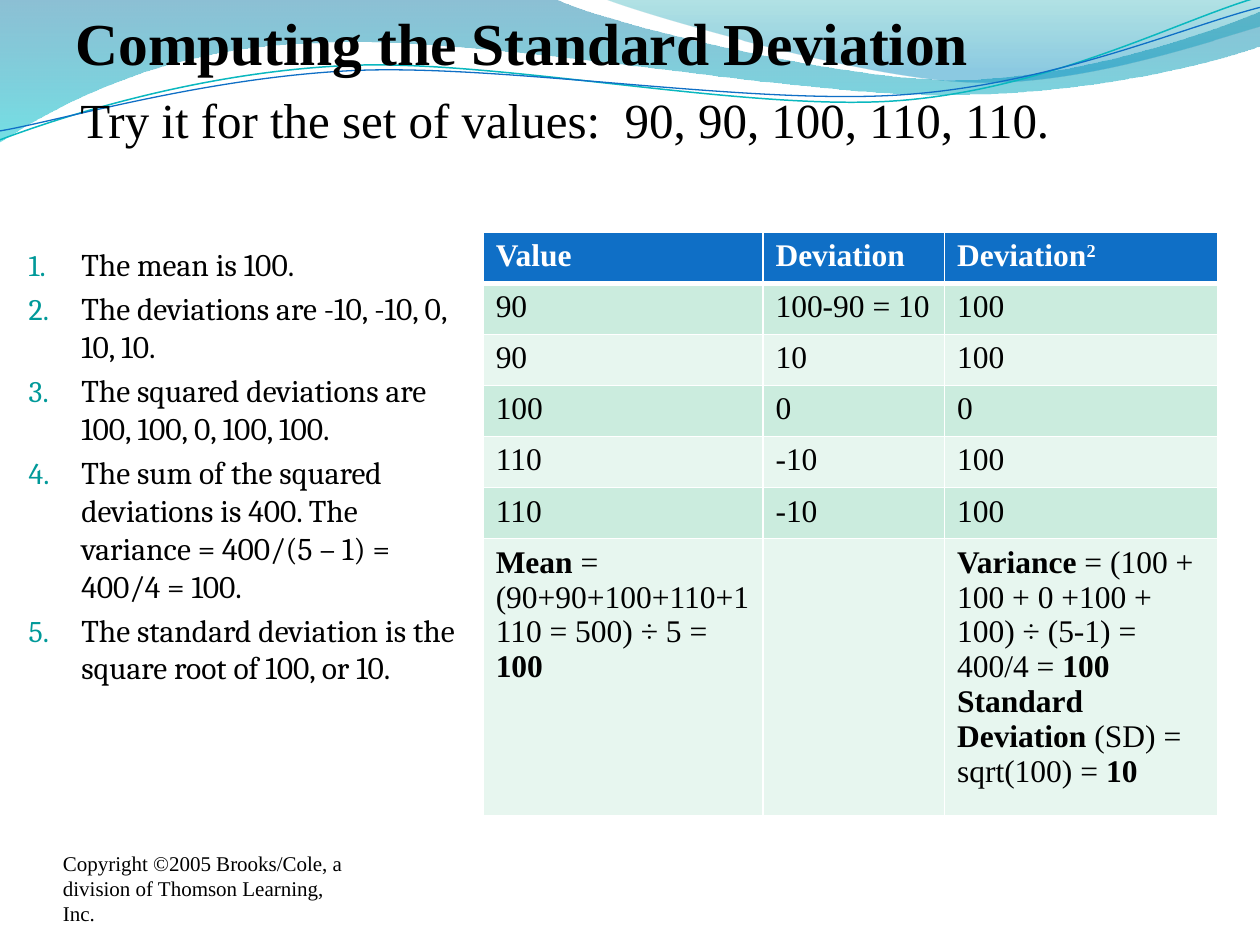
from itertools import product

from lxml.etree import SubElement
from pptx import Presentation
from pptx.dml.color import RGBColor
from pptx.enum.text import MSO_ANCHOR, MSO_AUTO_SIZE, PP_ALIGN
from pptx.oxml.ns import qn
from pptx.util import Cm, Pt

SERIF = "Times New Roman"
UNITS_PER_CM = 100

STEPS = [
    "The mean is 100.",
    "The deviations are -10, -10, 0, 10, 10.",
    "The squared deviations are 100, 100, 0, 100, 100.",
    "The sum of the squared deviations is 400. The variance = 400/(5 – 1) = 400/4 = 100.",
    "The standard deviation is the square root of 100, or 10.",
]
ROWS = [
    ["Value", "Deviation", "Deviation^2"],
    ["90", "100-90 = 10", "100"],
    ["90", "10", "100"],
    ["100", "0", "0"],
    ["110", "-10", "100"],
    ["110", "-10", "100"],
    [
        "**Mean** = (90+90+100+110+1110 = 500) ÷ 5 = **100**",
        "",
        "**Variance** = (100 + 100 + 0 +100 + 100) ÷ (5-1) = 400/4 =** 100**\n"
        "**Standard Deviation **(SD) = sqrt(100) = **10**",
    ],
]

WIDE_WAVE = [
    [(0, 0)],
    [(11.18, -0.03)],
    [(12.09, 0.43), (16.87, 1.6), (19.25, 1.6)],
    [(21.67, 1.6), (24.33, 0.66), (25.4, 0.23)],
    [(25.43, 0.91)],
    [(24.97, 1.12), (22.1, 1.93), (18.95, 1.91)],
    [(15.8, 1.91), (9.7, 0.71), (6.53, 0.86)],
    [(3.28, 0.91), (1.17, 2.11), (-0.03, 2.87)],
]
RIGHT_WAVE = [
    [(12.17, -0.03)],
    [(12.93, 0.28), (17.32, 1.57), (19.53, 1.65)],
    [(21.74, 1.75), (24.41, 0.81), (25.4, 0.53)],
    [(25.4, 0)],
]
TEAL_LINE = [
    [(0, 2.82)],
    [(1.22, 2.36), (4.01, 1.45), (7.04, 1.32)],
    [(10.03, 1.19), (15.06, 2.26), (18.11, 2.03)],
    [(21.16, 1.8), (23.83, 0.38), (25.35, -0.05)],
]
BLUE_LINE = [
    [(0, 2.64)],
    [(1.19, 2.44), (4.17, 1.55), (7.19, 1.42)],
    [(10.24, 1.3), (15.16, 2.13), (18.21, 1.91)],
    [(21.23, 1.7), (23.9, 0.53), (25.4, 0.15)],
]


def color(value):
    return RGBColor.from_string(value)


class SlideBuilder:
    ink = "000000"
    white = "FFFFFF"
    header = "0F6FC6"
    bands = ("E7F6EF", "CBECDE")

    def __init__(self, slide):
        self.slide = slide

    def outline(self, segments, closed):
        points = [(round(x * UNITS_PER_CM), round(y * UNITS_PER_CM)) for segment in segments for x, y in segment]
        builder = self.slide.shapes.build_freeform(*points[0], scale=Cm(1) / UNITS_PER_CM)
        builder.add_line_segments(points[1:], close=closed)
        shape = builder.convert_to_shape()
        shape.shadow.inherit = False
        nodes = iter(list(shape._element.spPr.iter(qn("a:lnTo"))))
        for segment in segments[1:]:
            first, *others = [next(nodes) for _ in segment]
            if others:
                first.tag = qn("a:cubicBezTo")
            for node in others:
                first.append(node[0])
                node.getparent().remove(node)
        return shape

    def wave(self, segments, stops):
        shape = self.outline(segments, True)
        shape.line.fill.background()
        shape.fill.gradient()
        shape.fill.gradient_angle = 270
        for stop, (position, tint, _) in zip(shape.fill.gradient_stops, stops):
            stop.position = position
            stop.color.rgb = color(tint)
        for node, (_, _, opacity) in zip(shape._element.spPr.iter(qn("a:srgbClr")), stops):
            SubElement(node, qn("a:alpha"), val=str(opacity * 1000))

    def strand(self, segments, tint, width):
        shape = self.outline(segments, False)
        shape.fill.background()
        shape.line.color.rgb = color(tint)
        shape.line.width = Pt(width)

    def style(self, para, size, face=SERIF, tint=ink, bold=False):
        para.alignment = PP_ALIGN.LEFT
        para.font.name = face
        para.font.size = Pt(size)
        para.font.bold = bold
        para.font.color.rgb = color(tint)

    def title(self, text, left, top, width, height):
        box = self.slide.shapes.title
        self.slide.shapes._spTree.append(box._element)
        box.left, box.top, box.width, box.height = Cm(left), Cm(top), Cm(width), Cm(height)
        frame = box.text_frame
        frame.text = text
        frame.vertical_anchor = MSO_ANCHOR.TOP
        frame.auto_size = MSO_AUTO_SIZE.SHAPE_TO_FIT_TEXT
        self.style(frame.paragraphs[0], 34, bold=True)

    def frame(self, left, top, width, height):
        box = self.slide.shapes.add_textbox(Cm(left), Cm(top), Cm(width), Cm(height))
        box.text_frame.word_wrap = True
        return box.text_frame

    def text(self, text, left, top, width, height, size):
        frame = self.frame(left, top, width, height)
        frame.text = text
        self.style(frame.paragraphs[0], size)
        return frame

    def footer(self, text, left, top, width, height):
        frame = self.text(text, left, top, width, height, 12)
        frame.vertical_anchor = MSO_ANCHOR.BOTTOM
        frame.margin_left = frame.margin_right = frame.margin_top = frame.margin_bottom = 0

    def numbered_list(self, items, left, top, width, height):
        frame = self.frame(left, top, width, height)
        frame.text = "\n".join(items)
        for index, para in enumerate(frame.paragraphs):
            properties = para._p.get_or_add_pPr()
            properties.set("marL", str(Cm(1.06)))
            properties.set("indent", str(-Cm(1.06)))
            SubElement(SubElement(properties, qn("a:buClr")), qn("a:srgbClr"), val="009999")
            SubElement(properties, qn("a:buSzPct"), val="95000")
            SubElement(properties, qn("a:buAutoNum"), type="arabicPeriod")
            if index:
                para.space_before = Pt(3.6)
            self.style(para, 18, "Cambria")

    def cell(self, cell, text, fill, tint, bold, edges):
        properties = cell._tc.get_or_add_tcPr()
        for side, width in zip("LRTB", edges):
            line = SubElement(properties, qn(f"a:ln{side}"), w=str(Pt(width)))
            SubElement(SubElement(line, qn("a:solidFill")), qn("a:srgbClr"), val=self.white)
        cell.fill.solid()
        cell.fill.fore_color.rgb = color(fill)
        frame = cell.text_frame
        for index, line in enumerate(text.split("\n")):
            para = frame.add_paragraph() if index else frame.paragraphs[0]
            self.style(para, 18, tint=tint, bold=bold)
            for place, part in enumerate(line.split("**")):
                base, _, power = part.partition("^")
                for piece, raised in ((base, False), (power, True)):
                    if piece:
                        span = para.add_run()
                        span.text = piece
                        if place % 2:
                            span.font.bold = True
                        if raised:
                            span.font._element.set("baseline", "30000")

    def table(self, rows, left, top, widths, heights):
        table = self.slide.shapes.add_table(
            len(rows), len(widths), Cm(left), Cm(top), Cm(sum(widths)), Cm(sum(heights))
        ).table
        for column, width in zip(table.columns, widths):
            column.width = Cm(width)
        for row, height in zip(table.rows, heights):
            row.height = Cm(height)
        for r, c in product(range(len(rows)), range(len(widths))):
            is_header = r == 0
            fill = self.header if is_header else self.bands[r % 2]
            tint = self.white if is_header else self.ink
            edges = (1, 1, 3 if r == 1 else 1, 3 if is_header else 1)
            self.cell(table.cell(r, c), rows[r][c], fill, tint, is_header, edges)


def main():
    deck = Presentation()
    deck.slide_width, deck.slide_height = Cm(25.4), Cm(19.05)
    page = SlideBuilder(deck.slides.add_slide(deck.slide_layouts[5]))
    page.wave(WIDE_WAVE, [(0, "0074A1", 45), (1, "00C6CF", 55)])
    page.wave(RIGHT_WAVE, [(0, "00A1A9", 30), (0.8, "008BBF", 45)])
    page.strand(TEAL_LINE, "0AB8BF", 0.85)
    page.strand(BLUE_LINE, "0F6FC6", 0.75)
    page.footer("Copyright ©2005 Brooks/Cole, a division of Thomson Learning, Inc.", 1.27, 17.65, 5.92, 1.02)
    page.numbered_list(STEPS, 0.33, 4.82, 9.4, 9.27)
    page.title("Computing the Standard Deviation", 1.27, 0, 19.86, 1.7)
    page.text("Try it for the set of values:  90, 90, 100, 110, 110.", 1.37, 1.68, 20.78, 1.45, 28)
    page.table(ROWS, 9.74, 4.68, [5.64, 3.66, 5.51], [1.03] * 6 + [5.59])
    deck.save("out.pptx")


if __name__ == "__main__":
    main()
